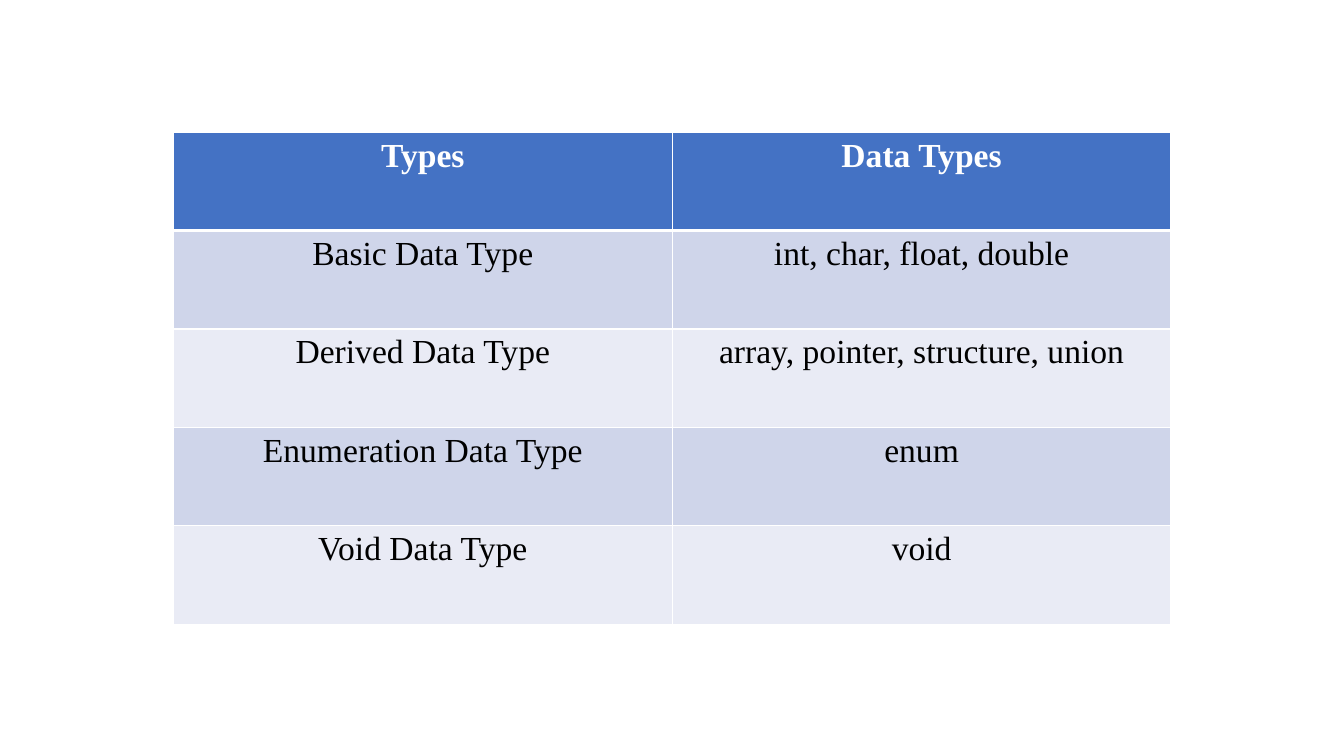
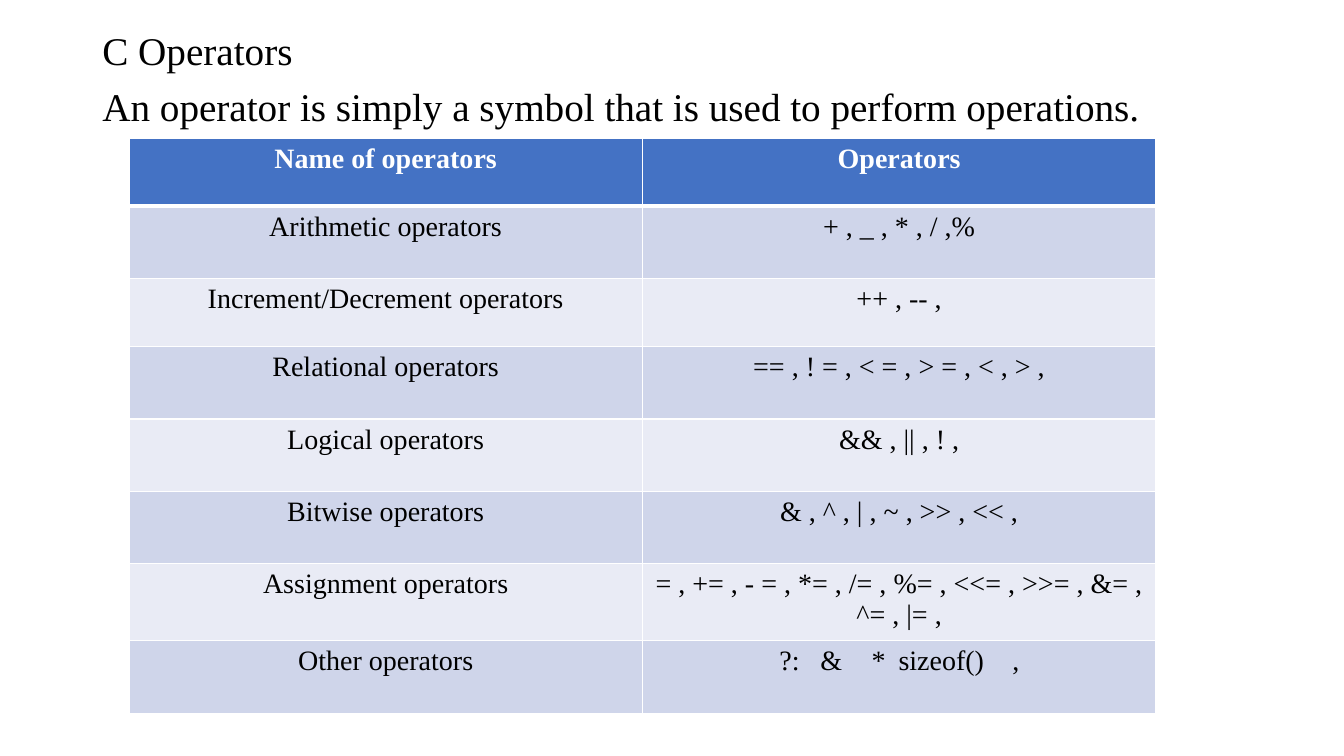
import pptx
import pptx.dml.color
import pptx.enum.text
import pptx.oxml.ns
import pptx.util
from lxml import etree

Cm, Pt = pptx.util.Cm, pptx.util.Pt
RGBColor = pptx.dml.color.RGBColor
ALIGN = pptx.enum.text.PP_ALIGN
qn = pptx.oxml.ns.qn

FONT = "Times New Roman"
WHITE = RGBColor(0xFF, 0xFF, 0xFF)
BLACK = RGBColor(0x00, 0x00, 0x00)
BLUE = RGBColor(0x44, 0x72, 0xC4)
BANDS = (RGBColor(0xE9, 0xEB, 0xF5), RGBColor(0xCF, 0xD5, 0xEA))

DATA_TYPES = [
    ("Types", "Data Types"),
    ("Basic Data Type", "int, char, float, double"),
    ("Derived Data Type", "array, pointer, structure, union"),
    ("Enumeration Data Type", "enum"),
    ("Void Data Type", "void"),
]
OPERATORS = [
    ("Name of operators", "Operators"),
    ("Arithmetic operators", "+ , _ , * , / ,%"),
    ("Increment/Decrement operators", "++ , -- ,"),
    ("Relational operators", "== , ! = , < = , > = , < , > ,"),
    ("Logical operators", "&& , || , ! ,"),
    ("Bitwise operators", "& , ^ , | , ~ , >> , << ,"),
    ("Assignment operators",
     "= , += , - = , *= , /= , %= , <<= , >>= , &= , ^= , |= ,"),
    ("Other operators", "\t?:\t&\t*\tsizeof()\t,"),
]
OPERATOR_HEIGHTS = [1.71, 1.82, 1.73] + [1.82] * 5
OPERATOR_TABS = (3.2, 4.23, 5.52, 6.2, 9.07)


def write_text(para, text, size, color=BLACK, bold=False, align=ALIGN.LEFT,
               line=1.0, before=0, tabs=()):
    """Fill one paragraph; tabs are stop positions in centimetres."""
    para.alignment = align
    para.line_spacing = line
    para.space_before = Pt(before)
    if tabs:
        stops = etree.SubElement(para._p.get_or_add_pPr(), qn("a:tabLst"))
        for stop in tabs:
            etree.SubElement(stops, qn("a:tab"), pos=str(Cm(stop)), algn="l")
    span = para.add_run()
    span.text = text
    span.font.name = FONT
    span.font.size = Pt(size)
    span.font.bold = bold
    span.font.color.rgb = color


def set_borders(cell, top, bottom):
    """Draw white cell borders, 1 pt at the sides."""
    props = cell._tc.get_or_add_tcPr()
    for side, width in (("L", 1), ("R", 1), ("T", top), ("B", bottom)):
        edge = etree.SubElement(props, qn("a:ln" + side), w=str(Pt(width)))
        fill = etree.SubElement(edge, qn("a:solidFill"))
        etree.SubElement(fill, qn("a:srgbClr"), val=str(WHITE))


def add_banded_table(page, left, top, column_width, heights, rows, size, tabs=()):
    """Place a table with a blue header and alternating bands."""
    columns = len(rows[0])
    table = page.shapes.add_table(
        len(rows), columns, Cm(left), Cm(top),
        Cm(column_width * columns), Cm(sum(heights))).table
    for column in table.columns:
        column.width = Cm(column_width)
    for index, (height, texts) in enumerate(zip(heights, rows)):
        table.rows[index].height = Cm(height)
        header = index == 0
        for cell, text in zip(table.rows[index].cells, texts):
            set_borders(cell, 3 if index == 1 else 1, 3 if header else 1)
            cell.fill.solid()
            cell.fill.fore_color.rgb = BLUE if header else BANDS[index % 2]
            tabbed = "\t" in text
            write_text(cell.text_frame.paragraphs[0], text, size,
                       color=WHITE if header else BLACK, bold=header,
                       align=ALIGN.LEFT if tabbed else ALIGN.CENTER,
                       tabs=tabs if tabbed else ())


def add_intro(page, left, top, width, height, lines):
    """Place the heading and its definition."""
    box = page.shapes.add_textbox(Cm(left), Cm(top), Cm(width), Cm(height))
    frame = box.text_frame
    frame.word_wrap = True
    for index, text in enumerate(lines):
        para = frame.add_paragraph() if index else frame.paragraphs[0]
        write_text(para, text, 28, line=0.9, before=10 if index else 0)


def main():
    deck = pptx.Presentation()
    deck.slide_width, deck.slide_height = Cm(33.87), Cm(19.05)
    blank = deck.slide_layouts[6]

    # Data types
    page = deck.slides.add_slide(blank)
    add_banded_table(page, 4.37, 3.33, 12.57, [2.48] * len(DATA_TYPES),
                     DATA_TYPES, 24)

    # Operators
    page = deck.slides.add_slide(blank)
    add_intro(page, 2.33, 0.66, 29.21, 17.93, [
        "C Operators",
        "An operator is simply a symbol that is used to perform operations.",
    ])
    add_banded_table(page, 3.25, 3.48, 12.94, OPERATOR_HEIGHTS, OPERATORS, 20,
                     tabs=OPERATOR_TABS)

    deck.save("out.pptx")


if __name__ == "__main__":
    main()
